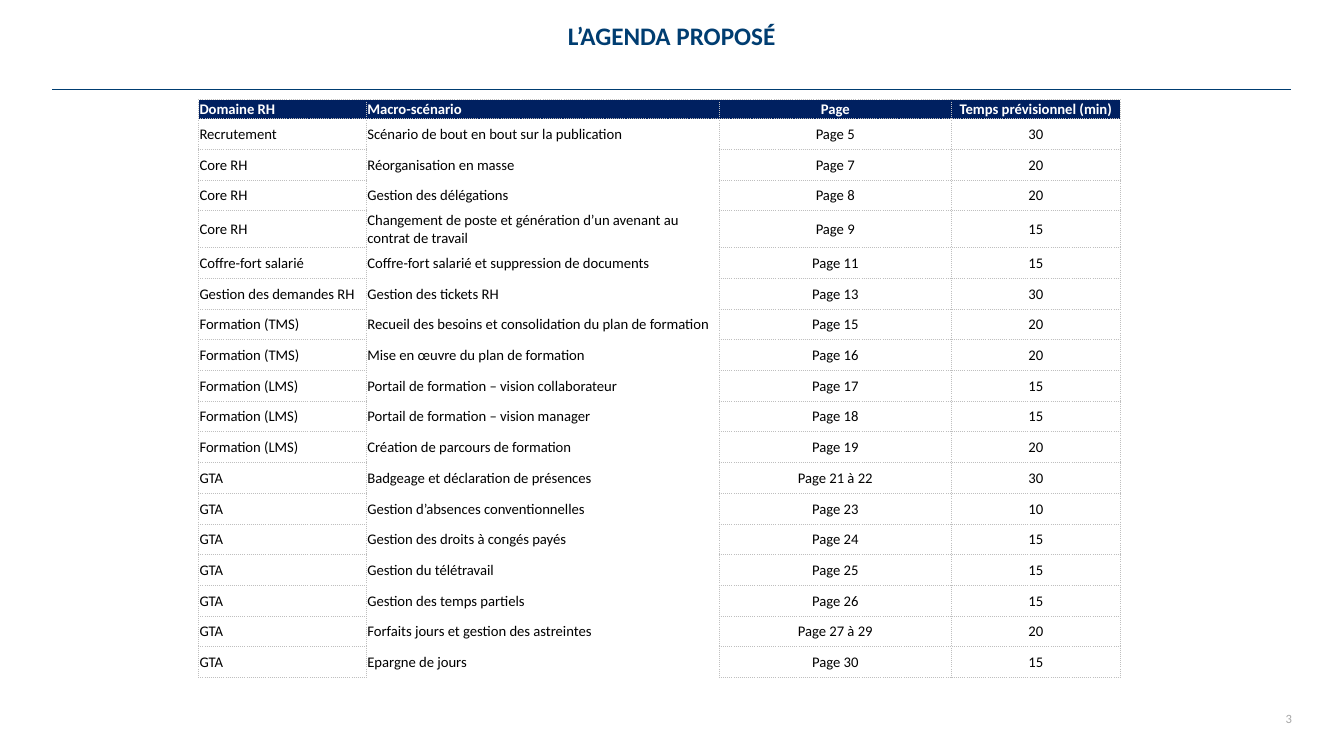
from dataclasses import dataclass

from lxml import etree
from pptx import Presentation
from pptx.dml.color import RGBColor
from pptx.enum.shapes import MSO_CONNECTOR
from pptx.enum.text import MSO_ANCHOR, MSO_AUTO_SIZE, PP_ALIGN
from pptx.oxml.ns import qn
from pptx.util import Pt

LEFT, CENTER, RIGHT = PP_ALIGN.LEFT, PP_ALIGN.CENTER, PP_ALIGN.RIGHT
MIDDLE = MSO_ANCHOR.MIDDLE
STRAIGHT = MSO_CONNECTOR.STRAIGHT
NO_AUTOFIT = MSO_AUTO_SIZE.NONE
EMU_PER_PX = 4572  # 200 px to the inch
TITLE_ONLY = 5


@dataclass(frozen=True)
class Theme:
    font: str = "Calibri"
    title_color: str = "003D71"
    header_fill: str = "002060"
    header_text: str = "FFFFFF"
    body_text: str = "000000"
    grid: str = "BFBFBF"
    page_color: str = "A6A6A6"
    title_size: float = 18
    table_size: float = 10.5
    page_size: float = 9
    rule_width: float = 0.75
    grid_width: float = 0.5


THEME = Theme()

HEADERS = ("Domaine RH", "Macro-scénario", "Page", "Temps prévisionnel (min)")
AGENDA = (
    ("Recrutement", "Scénario de bout en bout sur la publication", "5", 30),
    ("Core RH", "Réorganisation en masse", "7", 20),
    ("Core RH", "Gestion des délégations", "8", 20),
    ("Core RH", "Changement de poste et génération d’un avenant au contrat de travail", "9", 15),
    ("Coffre-fort salarié", "Coffre-fort salarié et suppression de documents", "11", 15),
    ("Gestion des demandes RH", "Gestion des tickets RH", "13", 30),
    ("Formation (TMS)", "Recueil des besoins et consolidation du plan de formation", "15", 20),
    ("Formation (TMS)", "Mise en œuvre du plan de formation", "16", 20),
    ("Formation (LMS)", "Portail de formation – vision collaborateur", "17", 15),
    ("Formation (LMS)", "Portail de formation – vision manager", "18", 15),
    ("Formation (LMS)", "Création de parcours de formation", "19", 20),
    ("GTA", "Badgeage et déclaration de présences", "21 à 22", 30),
    ("GTA", "Gestion d’absences conventionnelles", "23", 10),
    ("GTA", "Gestion des droits à congés payés", "24", 15),
    ("GTA", "Gestion du télétravail", "25", 15),
    ("GTA", "Gestion des temps partiels", "26", 15),
    ("GTA", "Forfaits jours et gestion des astreintes", "27 à 29", 20),
    ("GTA", "Epargne de jours", "30", 15),
)
COLUMN_WIDTHS = (333, 700, 461, 335)
COLUMN_ALIGNS = (LEFT, LEFT, CENTER, CENTER)
MACRO_COLUMN = 1
HEADER_HEIGHT, ROW_HEIGHT = 30, 61


def px(length):
    return length * EMU_PER_PX


def write(frame, text, *, size, color, bold=False, align=LEFT, line_spacing=None):
    frame.word_wrap = True
    frame.vertical_anchor = MIDDLE
    paragraph = frame.paragraphs[0]
    paragraph.alignment = align
    if line_spacing:
        paragraph.line_spacing = line_spacing
    run = paragraph.add_run()
    run.text = text
    run.font.name = THEME.font
    run.font.size = Pt(size)
    run.font.bold = bold
    run.font.color.rgb = RGBColor.from_string(color)


def set_insets(frame, side):
    frame.margin_left = frame.margin_right = px(side)
    frame.margin_top = frame.margin_bottom = 0


def set_borders(cell, sides):
    """Draw dotted lines on the sides named by L, R, T, B and clear the others."""
    properties = cell._tc.get_or_add_tcPr()
    for side in "LRTB":
        line = etree.SubElement(properties, qn(f"a:ln{side}"), w=str(Pt(THEME.grid_width)))
        if side in sides:
            fill = etree.SubElement(line, qn("a:solidFill"))
            etree.SubElement(fill, qn("a:srgbClr"), val=THEME.grid)
            etree.SubElement(line, qn("a:prstDash"), val="dot")
        else:
            etree.SubElement(line, qn("a:noFill"))


def add_heading(slide, left, top, width, height):
    title = slide.shapes.title
    title.left, title.top, title.width, title.height = map(px, (left, top, width, height))
    frame = title.text_frame
    frame.auto_size = NO_AUTOFIT
    set_insets(frame, 20)
    write(frame, "L’AGENDA PROPOSÉ", size=THEME.title_size, color=THEME.title_color,
          bold=True, align=CENTER, line_spacing=0.9)
    rule_y = px(top + height + 74)
    rule = slide.shapes.add_connector(
        STRAIGHT, px(left + 2), rule_y, px(left + width - 2), rule_y)
    rule.line.color.rgb = RGBColor.from_string(THEME.title_color)
    rule.line.width = Pt(THEME.rule_width)
    etree.SubElement(rule._element.spPr, qn("a:effectLst"))


def format_cell(cell, text, align, is_header, sides):
    cell.margin_left = cell.margin_right = cell.margin_top = px(2)
    cell.margin_bottom = 0
    cell.vertical_anchor = MIDDLE
    set_borders(cell, sides)
    if is_header:
        cell.fill.solid()
        cell.fill.fore_color.rgb = RGBColor.from_string(THEME.header_fill)
    else:
        cell.fill.background()
    color = THEME.header_text if is_header else THEME.body_text
    write(cell.text_frame, text, size=THEME.table_size, color=color,
          bold=is_header, align=align)


def add_agenda(slide, left, top):
    rows = [HEADERS] + [(domain, scenario, f"Page {pages}", str(minutes))
                        for domain, scenario, pages, minutes in AGENDA]
    height = HEADER_HEIGHT + ROW_HEIGHT * len(AGENDA)
    table = slide.shapes.add_table(
        len(rows), len(HEADERS), px(left), px(top), px(sum(COLUMN_WIDTHS)), px(height)).table
    table.first_row = table.horz_banding = False
    for column, width in zip(table.columns, COLUMN_WIDTHS):
        column.width = px(width)
    for r, values in enumerate(rows):
        is_header = r == 0
        table.rows[r].height = px(HEADER_HEIGHT if is_header else ROW_HEIGHT)
        for c, text in enumerate(values):
            sides = "LRTB"
            if c == MACRO_COLUMN and not is_header:
                sides = "LRT" if r == 1 else "LR"
            format_cell(table.cell(r, c), text, COLUMN_ALIGNS[c], is_header, sides)


def add_page_number(slide, left, top, width, height):
    frame = slide.shapes.add_textbox(*map(px, (left, top, width, height))).text_frame
    set_insets(frame, 0)
    write(frame, "3", size=THEME.page_size, color=THEME.page_color, align=RIGHT)


def main():
    deck = Presentation()
    deck.slide_width, deck.slide_height = px(2667), px(1500)
    slide = deck.slides.add_slide(deck.slide_layouts[TITLE_ONLY])
    add_heading(slide, 102, 46, 2462, 58)
    add_agenda(slide, 394, 198)
    add_page_number(slide, 2448, 1410, 116, 30)
    deck.save("out.pptx")


if __name__ == "__main__":
    main()
